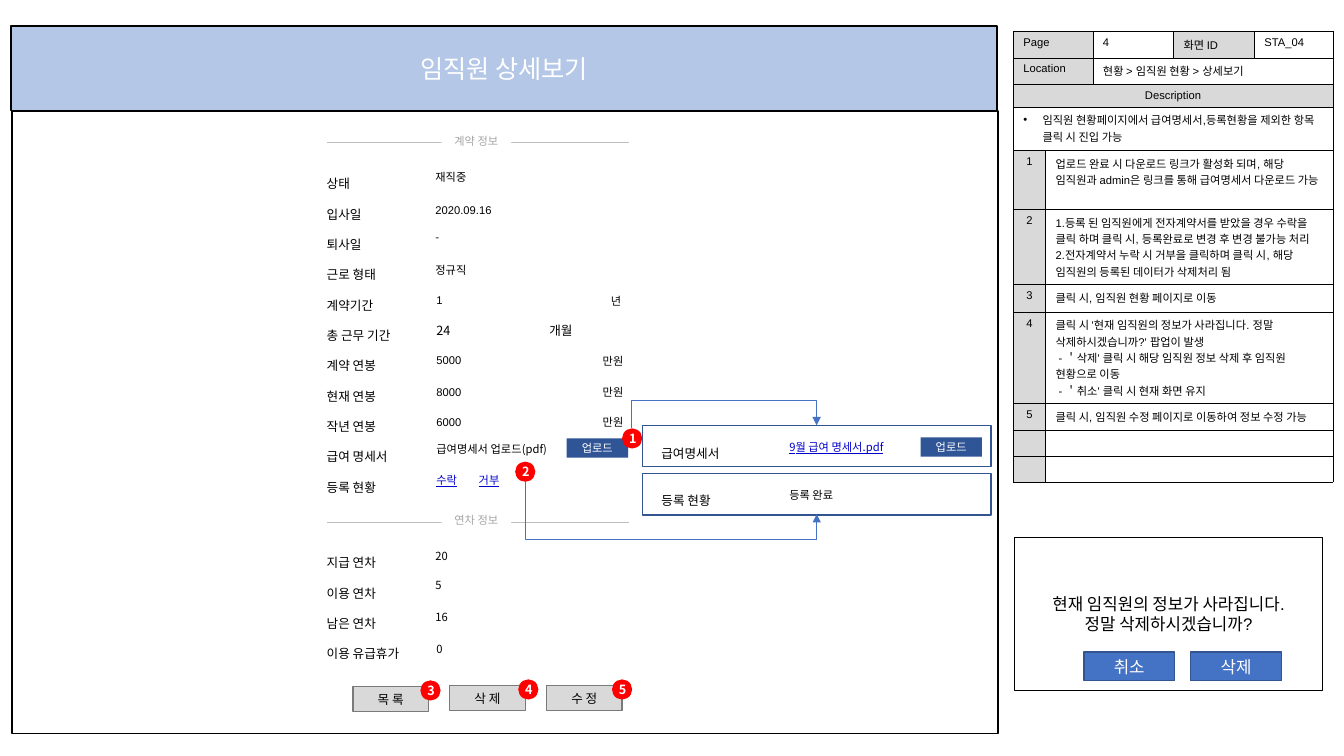
from lxml import etree
from pptx import Presentation
from pptx.dml.color import RGBColor
from pptx.enum.shapes import MSO_CONNECTOR, MSO_SHAPE
from pptx.enum.text import MSO_ANCHOR, MSO_AUTO_SIZE, PP_ALIGN
from pptx.oxml.ns import qn
from pptx.util import Inches, Pt

RECT, OVAL = MSO_SHAPE.RECTANGLE, MSO_SHAPE.OVAL
LINE, ELBOW = MSO_CONNECTOR.STRAIGHT, MSO_CONNECTOR.ELBOW
TOP, MID = MSO_ANCHOR.TOP, MSO_ANCHOR.MIDDLE
LEFT, MIDDLE = PP_ALIGN.LEFT, PP_ALIGN.CENTER
GROW, FIXED = MSO_AUTO_SIZE.SHAPE_TO_FIT_TEXT, MSO_AUTO_SIZE.NONE
ARIAL, NOTO = "Arial", "Noto Sans CJK KR"
INK = {"black": "000000", "white": "FFFFFF", "gray": "D9D9D9", "edge": "7A7A7A",
       "rule": "BFBFBF", "mute": "A6A6A6", "head": "B4C7E7", "blue": "4472C4",
       "navy": "325491", "deep": "2F5597", "link": "0000CC", "red": "FF0000"}

COLS = [0.32, 0.47, 0.8, 0.8, 0.78]
ROWS = [0.26, 0.26, 0.22, 0.43, 0.58, 0.74, 0.27, 0.91, 0.26, 0.26, 0.26]
META = [
    (0, 0, 2, "Page", "gray", LEFT), (0, 2, 1, "4", "white", LEFT),
    (0, 3, 1, "화면 ID", "gray", LEFT), (0, 4, 1, "STA_04", "white", LEFT),
    (1, 0, 2, "Location", "gray", LEFT),
    (1, 2, 3, "현황 > 임직원 현황 > 상세보기", "white", LEFT),
    (2, 0, 5, "Description", "gray", MIDDLE),
    (3, 0, 5, "임직원 현황페이지에서 급여명세서,등록현황을 제외한 항목 클릭 시 진입 가능", "white", LEFT)]
NOTES = [
    ("1", "업로드 완료 시 다운로드 링크가 활성화 되며, 해당 임직원과 admin은 링크를 통해 급여명세서 다운로드 가능"),
    ("2", "1.등록 된 임직원에게 전자계약서를 받았을 경우 수락을 클릭 하며 클릭 시, 등록완료로 변경 후 변경 불가능 처리\n"
          "2.전자계약서 누락 시 거부을 클릭하며 클릭 시, 해당 임직원의 등록된 데이터가 삭제처리 됨"),
    ("3", "클릭 시, 임직원 현황 페이지로 이동"),
    ("4", "클릭 시 '현재 임직원의 정보가 사라집니다. 정말 삭제하시겠습니까?' 팝업이 발생\n"
          " - ＇삭제' 클릭 시 해당 임직원 정보 삭제 후 임직원 현황으로 이동\n"
          " - ＇취소' 클릭 시 현재 화면 유지"),
    ("5", "클릭 시, 임직원 수정 페이지로 이동하여 정보 수정 가능"), ("", ""), ("", "")]

LABELS = [
    (3.24, 1.55, 0.82, 3.43, "상태\n입사일\n퇴사일\n근로 형태\n계약기간\n총 근무 기간\n"
     "계약 연봉\n현재 연봉\n작년 연봉\n급여 명세서\n등록 현황"),
    (3.24, 5.31, 0.9, 1.31, "지급 연차\n이용 연차\n남은 연차\n이용 유급휴가"),
    (6.56, 4.22, 0.73, 0.36, "급여명세서"), (6.56, 4.69, 0.65, 0.4, "등록 현황")]
FIELDS = [(4.22, 1.66, 2.01, "재직중"), (4.22, 1.99, 1.73, "2020.09.16"),
          (4.22, 2.58, 2, "정규직"), (4.23, 2.88, 1.68, "1"), (4.23, 3.48, 1.68, "5000"),
          (4.23, 3.79, 1.68, "8000"), (4.23, 4.09, 1.68, "6000")]
VALUES = [(4.22, 2.24, 0.25, "-"), (5.96, 2.87, 0.31, "년"), (5.88, 3.47, 0.43, "만원"),
          (5.88, 3.77, 0.43, "만원"), (5.88, 4.07, 0.43, "만원"),
          (4.23, 4.34, 1.38, "급여명세서 업로드(pdf)"), (4.22, 5.4, 0.36, "20"),
          (4.22, 5.69, 0.26, "5"), (4.22, 6.01, 0.36, "16"), (4.23, 6.32, 0.26, "0"),
          (7.73, 4.8, 0.69, "등록 완료")]
LINKS = [(4.23, 4.65, 0.43, "수락"), (4.65, 4.65, 0.43, "거부"),
         (7.73, 4.32, 1.21, "9월 급여 명세서.pdf")]
HEADS = [(1.41, 1.28, "계약 정보"), (5.18, 5.04, "연차 정보")]
LOADS = [(5.62, 4.35), (9.13, 4.34)]
TOOLS = [(3.5, 6.81, "목 록"), (4.46, 6.8, "삭 제"), (5.42, 6.8, "수 정")]
MARKS = [(6.17, 4.25), (5.11, 4.58), (4.17, 6.75), (5.14, 6.74), (6.07, 6.74)]
PATHS = [(6.26, 4.25, 8.1, 4.22, 3.97), (5.21, 4.78, 8.1, 5.1, 5.35)]


def tint(name):
    return RGBColor.from_string(INK[name])


def sub(node, tag, **vals):
    item = etree.SubElement(node, qn(tag))
    for key, val in vals.items():
        item.set(key, str(val))
    return item


def write(frame, text, size=8, face=ARIAL, ink="black", align=LEFT, space=None, **font):
    look = {"size": Pt(size), "name": face, **font}
    frame.text = text
    for para in frame.paragraphs:
        para.alignment = align
        if space:
            para.line_spacing = space
        for run in para.runs:
            for key, val in look.items():
                setattr(run.font, key, val)
            run.font.color.rgb = tint(ink)
            sub(run.font._element, "a:ea", typeface=NOTO)
        if not para.runs:
            sub(para._p, "a:endParaRPr", sz=size * 100)


def fit(frame, anchor=MID, wrap=True, auto=FIXED, pad=(0.1, 0.05, 0.1, 0.05)):
    form = {"vertical_anchor": anchor, "word_wrap": wrap, "auto_size": auto}
    sides = ("left", "top", "right", "bottom")
    form.update({f"margin_{side}": Inches(gap) for side, gap in zip(sides, pad)})
    for key, val in form.items():
        setattr(frame, key, val)


def box(slide, spot, fill, edge=None, text="", kind=RECT, form=None, **font):
    shape = slide.shapes.add_shape(kind, *map(Inches, spot))
    shape.shadow.inherit = False
    shape.fill.solid()
    shape.fill.fore_color.rgb = tint(fill)
    if edge:
        shape.line.color.rgb = tint(edge)
        shape.line.width = Pt(1)
    else:
        shape.line.fill.background()
    if text:
        fit(shape.text_frame, **(form or {}))
        write(shape.text_frame, text, align=MIDDLE, **font)


def label(slide, spot, text, form, **font):
    frame = slide.shapes.add_textbox(*map(Inches, spot)).text_frame
    fit(frame, **form)
    write(frame, text, **font)
    return frame


def wire(slide, kind, ends, ink):
    link = slide.shapes.add_connector(kind, *map(Inches, ends))
    link.line.color.rgb = tint(ink)
    link.line.width = Pt(0.5)
    sub(link._element.spPr, "a:effectLst")
    return link


def bend(slide, x1, y1, x2, y2, turn):
    wide, high = x2 - x1, abs(y2 - y1)
    left, top = (x1 + x2 - high) / 2, (y1 + y2 - wide) / 2
    link = wire(slide, ELBOW, (left, top, left + high, top + wide), "blue")
    up = turn < y1
    flip = {"rot": 5400000 if up else 16200000, "flipH": 1, "flipV": int(up)}
    for key, val in flip.items():
        link._element.spPr.find(qn("a:xfrm")).set(key, str(val))
    rate = round(abs(turn - y1) / high * 100000)
    stops = link._element.spPr.find(qn("a:prstGeom")).find(qn("a:avLst"))
    sub(stops, "a:gd", name="adj1", fmla=f"val {rate}")
    sub(link.line._get_or_add_ln(), "a:tailEnd", type="triangle")


def cell_at(table, row, col, span, text, fill, align):
    cell = table.cell(row, col)
    if span > 1:
        cell.merge(table.cell(row, col + span - 1))
    write(cell.text_frame, text, align=align)
    for part in range(col, col + span):
        piece = table.cell(row, part)
        props = piece._tc.get_or_add_tcPr()
        for side in ("a:lnL", "a:lnR", "a:lnT", "a:lnB"):
            paint = sub(sub(props, side, w=3175), "a:solidFill")
            sub(paint, "a:srgbClr", val=INK["black"])
        piece.fill.solid()
        piece.fill.fore_color.rgb = tint(fill)


def grid(slide):
    spot = map(Inches, (10.05, 0.31, sum(COLS), sum(ROWS)))
    table = slide.shapes.add_table(len(ROWS), len(COLS), *spot).table
    table.first_row = table.horz_banding = False
    for col, wide in zip(table.columns, COLS):
        col.width = Inches(wide)
    for row, high in zip(table.rows, ROWS):
        row.height = Inches(high)
    for item in META:
        cell_at(table, *item)
    for row, (mark, text) in enumerate(NOTES, 4):
        cell_at(table, row, 0, 1, mark, "gray", MIDDLE)
        cell_at(table, row, 1, 4, text, "white", LEFT)
    props = table.cell(3, 0).text_frame.paragraphs[0]._p.get_or_add_pPr()
    for key, val in {"marL": Inches(0.19), "indent": -Inches(0.19)}.items():
        props.set(key, str(val))
    sub(props, "a:buFont", typeface=ARIAL)
    sub(props, "a:buChar", char="•")


def main():
    """Build the staff detail screen with its notes table."""
    deck = Presentation()
    deck.slide_width, deck.slide_height = Inches(13.33), Inches(7.5)
    slide = deck.slides.add_slide(deck.slide_layouts[6])
    loose = {"anchor": TOP, "wrap": False, "auto": GROW}
    flush = {**loose, "pad": (0, 0.05, 0.1, 0.05)}
    grid(slide)
    box(slide, (10.06, 5.33, 3.06, 1.52), "white", "black",
        "현재 임직원의 정보가 사라집니다.\n정말 삭제하시겠습니까?", size=12)
    for x, text in ((10.75, "취소"), (11.81, "삭제")):
        box(slide, (x, 6.47, 0.9, 0.28), "blue", "navy", text, size=12, face=NOTO, ink="white")
    box(slide, (0.12, 1.1, 9.78, 6.18), "white", "black")
    box(slide, (0.11, 0.26, 9.78, 0.84), "head", "black", "임직원 상세보기",
        size=18, face=NOTO, ink="white")
    for y in (4.22, 4.7):
        box(slide, (6.37, y, 3.46, 0.41), "white", "navy")
    for y, top, text in HEADS:
        wire(slide, LINE, (3.24, y, 6.24, y), "rule")
        box(slide, (4.38, top, 0.69, 0.24), "white", text=text, form=loose, ink="mute")
    for *spot, text in LABELS:
        label(slide, spot, text, flush, size=9, space=2.0)
    for *spot, text in FIELDS:
        label(slide, (*spot, 0.19), text, {})
    for *spot, text in VALUES:
        label(slide, (*spot, 0.24), text, loose, face=NOTO)
    for *spot, text in LINKS:
        label(slide, (*spot, 0.24), text, loose, face=NOTO, ink="link", underline=True)
    term = label(slide, (4.23, 3.15, 2.08, 0.25), "24\t개월", {**loose, "wrap": True},
                 size=9, face=NOTO)
    tabs = sub(term.paragraphs[0]._p.get_or_add_pPr(), "a:tabLst")
    sub(tabs, "a:tab", pos=Inches(1.12), algn="l")
    for spot in LOADS:
        box(slide, (*spot, 0.61, 0.19), "deep", text="업로드", ink="white")
    for *spot, text in TOOLS:
        box(slide, (*spot, 0.75, 0.25), "gray", "edge", text, size=9, face=NOTO)
    for num, spot in enumerate(MARKS, 1):
        box(slide, (*spot, 0.2, 0.2), "red", text=str(num), kind=OVAL,
            form={"pad": (0.04,) * 4}, size=9, face=NOTO, ink="white", bold=True)
    for path in PATHS:
        bend(slide, *path)
    deck.save("out.pptx")


if __name__ == "__main__":
    main()
